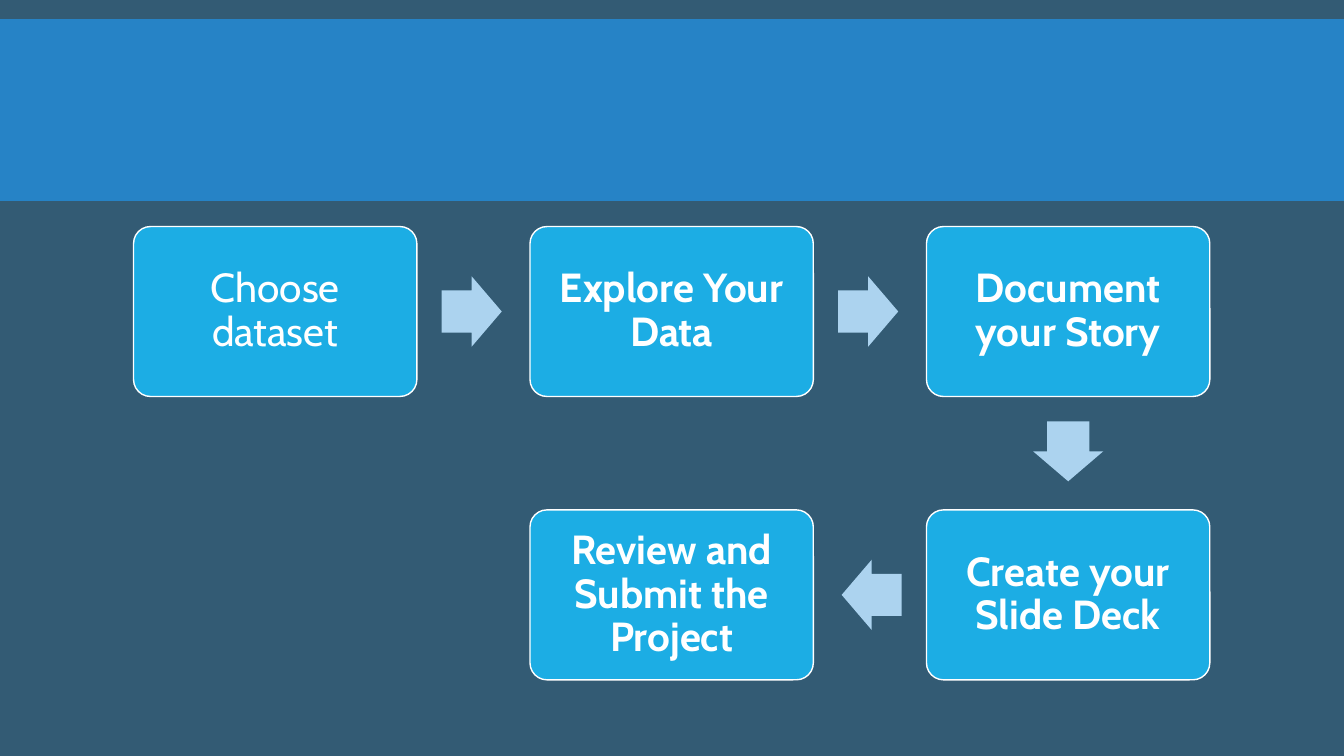
from dataclasses import dataclass

from pptx import Presentation
from pptx.dml.color import RGBColor
from pptx.enum.shapes import MSO_SHAPE
from pptx.enum.text import MSO_ANCHOR, PP_ALIGN
from pptx.util import Pt

RECTANGLE = MSO_SHAPE.RECTANGLE
ROUNDED = MSO_SHAPE.ROUNDED_RECTANGLE
ARROW = MSO_SHAPE.RIGHT_ARROW
MIDDLE = MSO_ANCHOR.MIDDLE
CENTER = PP_ALIGN.CENTER


@dataclass
class Theme:
    background: str = "335B74"
    band: str = "2683C6"
    step: str = "1CADE4"
    arrow: str = "ACD3EF"
    white: str = "FFFFFF"
    font: str = "Cabin"
    step_size: int = 29


theme = Theme()


def add_block(kind, left, top, width, height, color):
    block = slide.shapes.add_shape(kind, Pt(left), Pt(top), Pt(width), Pt(height))
    block.shadow.inherit = False
    block.fill.solid()
    block.fill.fore_color.rgb = RGBColor.from_string(color)
    block.line.fill.background()
    return block


def write_text(block, text, *, size, color, bold=False, inset=8.4):
    frame = block.text_frame
    frame.word_wrap = True
    frame.vertical_anchor = MIDDLE
    frame.margin_left = frame.margin_right = Pt(inset)
    frame.margin_top = frame.margin_bottom = Pt(inset)
    paragraph = frame.paragraphs[0]
    paragraph.alignment = CENTER
    paragraph.line_spacing = 0.9
    run = paragraph.add_run()
    run.text = text
    run.font.name = theme.font
    run.font.size = Pt(size)
    run.font.bold = bold
    run.font.color.rgb = RGBColor.from_string(color)


# Slide and background
SLIDE_W, SLIDE_H = 960, 540
prs = Presentation()
prs.slide_width, prs.slide_height = Pt(SLIDE_W), Pt(SLIDE_H)
slide = prs.slides.add_slide(prs.slide_layouts[6])
slide.background.fill.solid()
slide.background.fill.fore_color.rgb = RGBColor.from_string(theme.background)

# Header band
add_block(RECTANGLE, 0, 13.7, SLIDE_W, 129.8, theme.band)

# Process steps: text, grid column, grid row, bold
steps = [
    ("Choose dataset", 0, 0, False),
    ("Explore Your Data", 1, 0, True),
    ("Document your Story", 2, 0, True),
    ("Create your Slide Deck", 2, 1, True),
    ("Review and Submit the Project", 1, 1, True),
]
GRID_LEFT, GRID_TOP = 95.4, 161.8
STEP_W, STEP_H = 202.4, 121.4
COLUMN_PITCH, ROW_PITCH = 283.2, 202.4

for text, column, row, bold in steps:
    step = add_block(ROUNDED, GRID_LEFT + column * COLUMN_PITCH,
                     GRID_TOP + row * ROW_PITCH, STEP_W, STEP_H, theme.step)
    step.adjustments[0] = 0.1
    step.line.color.rgb = RGBColor.from_string(theme.white)
    step.line.width = Pt(1)
    write_text(step, text, size=theme.step_size, color=theme.white, bold=bold)

# Arrows: each starts a fixed gap beyond the edge of the step it leaves
ARROW_L, ARROW_W, ARROW_GAP = 42.9, 50.2, 17.7
ROTATION = {(1, 0): 0, (0, 1): 90, (-1, 0): 180}
reach = ARROW_GAP + ARROW_L / 2

for (_, column, row, _), (_, next_column, next_row, _) in zip(steps, steps[1:]):
    dx, dy = next_column - column, next_row - row
    center_x = GRID_LEFT + column * COLUMN_PITCH + STEP_W / 2 + dx * (STEP_W / 2 + reach)
    center_y = GRID_TOP + row * ROW_PITCH + STEP_H / 2 + dy * (STEP_H / 2 + reach)
    arrow = add_block(ARROW, center_x - ARROW_L / 2, center_y - ARROW_W / 2,
                      ARROW_L, ARROW_W, theme.arrow)
    arrow.adjustments[0] = 0.6
    arrow.adjustments[1] = 0.5
    arrow.rotation = ROTATION[dx, dy]

prs.save("out.pptx")
